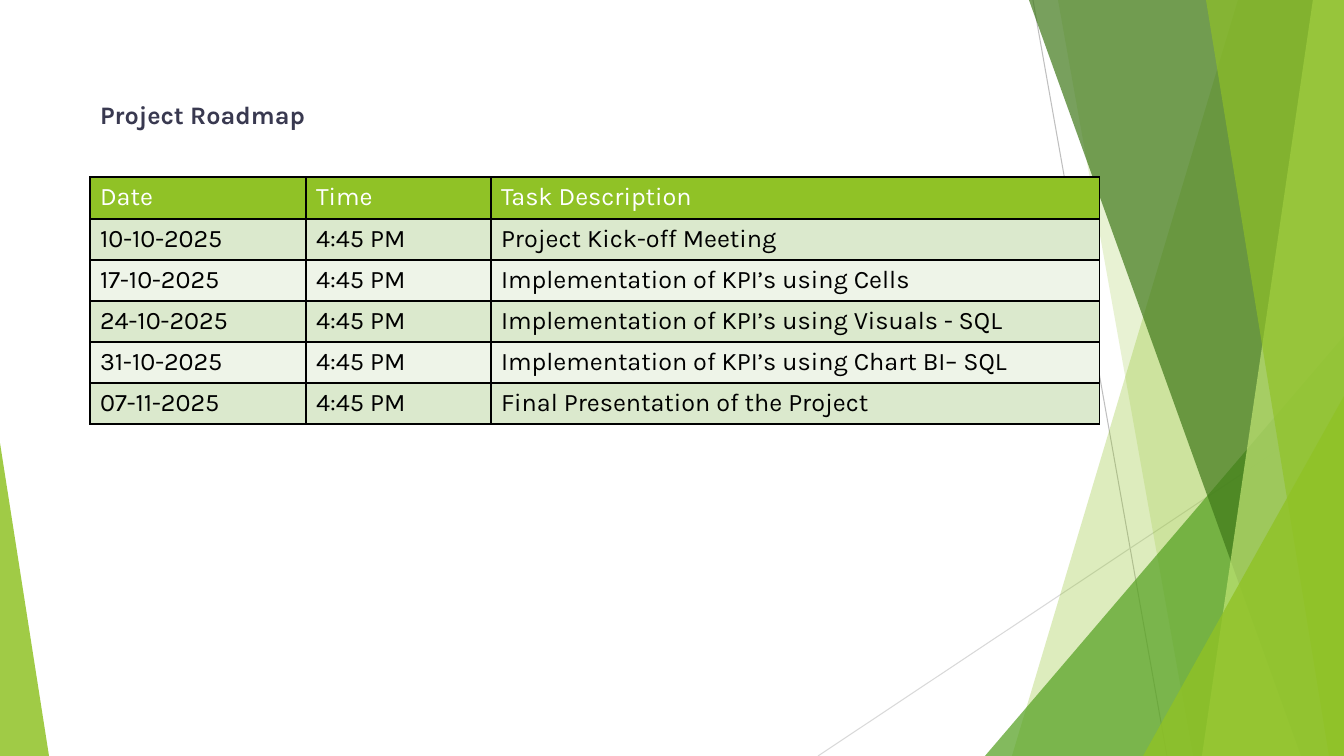
from lxml.etree import SubElement
from pptx import Presentation
from pptx.dml.color import RGBColor
from pptx.enum.shapes import MSO_CONNECTOR, MSO_SHAPE
from pptx.enum.text import MSO_ANCHOR, MSO_AUTO_SIZE, PP_ALIGN
from pptx.oxml.ns import qn
from pptx.util import Pt

WIDE, HIGH = 1344, 756
SCALE = 914400 / 100.8

LIME = RGBColor(0x90, 0xC2, 0x26)
GREEN = RGBColor(0x54, 0xA0, 0x21)
DARK = RGBColor(0x3F, 0x78, 0x19)
PALE = RGBColor(0xC0, 0xE4, 0x74)
ODD = RGBColor(0xDB, 0xE9, 0xCD)
EVEN = RGBColor(0xEE, 0xF4, 0xE8)
NAVY = RGBColor(0x39, 0x39, 0x50)
BLACK = RGBColor(0, 0, 0)
WHITE = RGBColor(0xFF, 0xFF, 0xFF)
GREY = RGBColor(0xBF, 0xBF, 0xBF)
SILVER = RGBColor(0xD9, 0xD9, 0xD9)

TITLE = "Project Roadmap"
HEAD = ("Date", "Time", "Task Description")
TIME = "4:45 PM"
TASKS = [
    ("10-10-2025", "Project Kick-off Meeting"),
    ("17-10-2025", "Implementation of KPI’s using Cells"),
    ("24-10-2025", "Implementation of KPI’s using Visuals - SQL"),
    ("31-10-2025", "Implementation of KPI’s using Chart BI– SQL"),
    ("07-11-2025", "Final Presentation of the Project"),
]
COLS = (216, 185, 609)
HEAD_HIGH, ROW_HIGH = 42, 41
LEFT, TOP = 90, 177

LINES = [((1033, 0), (1167, HIGH), GREY), ((WIDE, 406), (818, HIGH), SILVER)]
# Bands: top x, bottom x, colour, opacity; each runs to the right edge.
# Wedges: left, top, width, apex, colour, opacity; each stands on the bottom.
DECOR = [
    ("band", 1238, 1012, LIME, 30),
    ("band", 1058, 1193, LIME, 20),
    ("wedge", 985, 336, 359, 1, GREEN, 72),
    ("band", 1029, 1301, DARK, 70),
    ("band", 1313, 1202, PALE, 70),
    ("band", 1206, 1329, LIME, 65),
    ("wedge", 1143, 396, 201, 1, LIME, 80),
    ("wedge", 0, 443, 49, 0, LIME, 85),
]


def px(n):
    return round(n * SCALE)


def write(frame, text, color=BLACK, size=18, bold=False):
    para = frame.paragraphs[0]
    para.alignment = PP_ALIGN.LEFT
    run = para.add_run()
    run.text = text
    font = run.font
    font.name, font.size, font.bold = "Karla", Pt(size), bold
    font.color.rgb = color


def paint(shape, color, alpha):
    shape.shadow.inherit = False
    shape.line.fill.background()
    shape.fill.solid()
    shape.fill.fore_color.rgb = color
    tint = shape.fill._xPr.find(qn("a:solidFill"))[0]
    SubElement(tint, qn("a:alpha"), val=str(alpha * 1000))


def band(shapes, top, base, color, alpha):
    form = shapes.build_freeform(top, 0, scale=SCALE)
    form.add_line_segments([(WIDE, 0), (WIDE, HIGH), (base, HIGH)], close=True)
    paint(form.convert_to_shape(), color, alpha)


def wedge(shapes, left, top, width, apex, color, alpha):
    shape = shapes.add_shape(MSO_SHAPE.ISOSCELES_TRIANGLE, px(left), px(top),
                             px(width), px(HIGH - top))
    shape.adjustments[0] = apex
    paint(shape, color, alpha)


def rule(shapes, start, end, color):
    line = shapes.add_connector(MSO_CONNECTOR.STRAIGHT,
                                *map(px, start + end))
    line.line.color.rgb = color
    line.line.width = Pt(0.75)
    SubElement(line._element.spPr, qn("a:effectLst"))


def fence(cell):
    """Give the cell a thin black border; call before its fill is set."""
    props = cell._tc.get_or_add_tcPr()
    for side in ("lnL", "lnR", "lnT", "lnB"):
        edge = SubElement(props, qn("a:" + side), w=str(Pt(1)))
        solid = SubElement(edge, qn("a:solidFill"))
        SubElement(solid, qn("a:srgbClr"), val=str(BLACK))


def plan(shapes):
    rows = [HEAD] + [(date, TIME, task) for date, task in TASKS]
    highs = [HEAD_HIGH] + [ROW_HIGH] * len(TASKS)
    table = shapes.add_table(len(rows), len(COLS), px(LEFT), px(TOP),
                             px(sum(COLS)), px(sum(highs))).table
    for col, width in zip(table.columns, COLS):
        col.width = px(width)
    for r, row in enumerate(rows):
        table.rows[r].height = px(highs[r])
        fill = LIME if r == 0 else (ODD if r % 2 else EVEN)
        for c, text in enumerate(row):
            cell = table.cell(r, c)
            fence(cell)
            cell.fill.solid()
            cell.fill.fore_color.rgb = fill
            write(cell.text_frame, text, color=BLACK if r else WHITE)


def main():
    deck = Presentation()
    deck.slide_width, deck.slide_height = px(WIDE), px(HIGH)
    slide = deck.slides.add_slide(deck.slide_layouts[5])
    shapes = slide.shapes

    title = shapes.title
    title.left, title.top = px(LEFT), px(94)
    title.width, title.height = px(672), px(40)
    frame = title.text_frame
    frame.word_wrap = True
    frame.auto_size = MSO_AUTO_SIZE.SHAPE_TO_FIT_TEXT
    frame.vertical_anchor = MSO_ANCHOR.TOP
    write(frame, TITLE, color=NAVY, bold=True)

    for line in LINES:
        rule(shapes, *line)
    draw = {"band": band, "wedge": wedge}
    for kind, *form in DECOR:
        draw[kind](shapes, *form)
    plan(shapes)
    deck.save("out.pptx")


if __name__ == "__main__":
    main()
